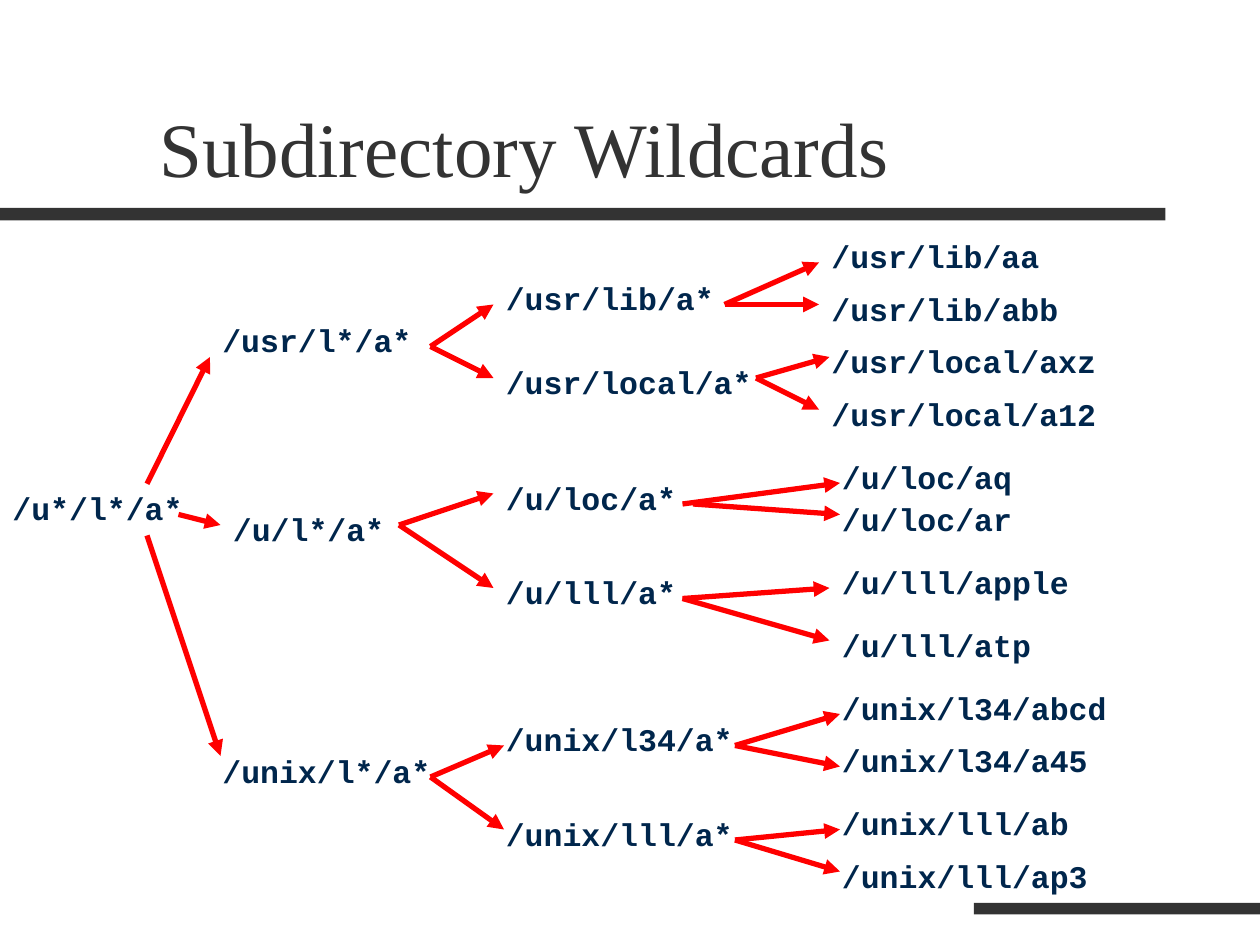
from dataclasses import dataclass

from lxml import etree
from pptx import Presentation
from pptx.dml.color import RGBColor
from pptx.enum.shapes import MSO_CONNECTOR, MSO_SHAPE
from pptx.enum.text import MSO_ANCHOR
from pptx.oxml.ns import qn
from pptx.util import Pt

STRAIGHT = MSO_CONNECTOR.STRAIGHT
RECTANGLE = MSO_SHAPE.RECTANGLE
TOP = MSO_ANCHOR.TOP
BOTTOM = MSO_ANCHOR.BOTTOM


@dataclass(frozen=True)
class Theme:
    bar: RGBColor = RGBColor(0x33, 0x33, 0x33)
    title: RGBColor = RGBColor(0x33, 0x33, 0x33)
    label: RGBColor = RGBColor(0x00, 0x26, 0x4C)
    arrow: RGBColor = RGBColor(0xFF, 0x00, 0x00)
    title_font: str = "Times New Roman"
    label_font: str = "Courier New"
    title_size: int = 44
    label_size: int = 18
    arrow_width: int = 3


THEME = Theme()
LABEL_HEIGHT = 28.8

BARS = [(0, 118.8, 666, 7.2), (556.5, 516, 163.5, 6.5)]

# left, top, width, wording
LABELS = [
    (0, 276, 156, "/u*/l*/a*"),
    (120, 180, 138, "/usr/l*/a*"),
    (126, 288, 126, "/u/l*/a*"),
    (120, 426, 156, "/unix/l*/a*"),
    (282, 156, 138, "/usr/lib/a*"),
    (282, 204, 174, "/usr/local/a*"),
    (282, 270, 126, "/u/loc/a*"),
    (282, 324, 126, "/u/lll/a*"),
    (282, 408, 144, "/unix/l34/a*"),
    (282, 462, 144, "/unix/lll/a*"),
    (468, 132, 138, "/usr/lib/aa"),
    (468, 162, 162, "/usr/lib/abb"),
    (468, 192, 174, "/usr/local/axz"),
    (468, 222, 174, "/usr/local/a12"),
    (474, 258, 174, "/u/loc/aq"),
    (474, 282, 174, "/u/loc/ar"),
    (474, 318, 156, "/u/lll/apple"),
    (474, 354, 126, "/u/lll/atp"),
    (474, 390, 180, "/unix/l34/abcd"),
    (474, 420, 156, "/unix/l34/a45"),
    (474, 456, 156, "/unix/lll/ab"),
    (474, 486, 156, "/unix/lll/ap3"),
]

FANS = [
    ((84, 276.5), [(120, 204)]),
    ((102, 294), [(126, 300)]),
    ((84, 306), [(126, 432)]),
    ((246, 198), [(282, 174), (282, 216)]),
    ((228, 300), [(282, 282), (282, 336)]),
    ((246, 444), [(288, 426), (288, 474)]),
    ((414, 174), [(468, 150), (468, 174)]),
    ((432, 216), [(474, 204), (468, 234)]),
    ((390, 288), [(480, 276)]),
    ((396, 288), [(480, 294)]),
    ((390, 342), [(474, 336), (474, 366)]),
    ((420, 426), [(480, 408), (480, 438)]),
    ((420, 480), [(480, 474), (480, 498)]),
]


def add_bar(page, left, top, width, height):
    bar = page.shapes.add_shape(RECTANGLE, Pt(left), Pt(top), Pt(width), Pt(height))
    bar.shadow.inherit = False
    bar.fill.solid()
    bar.fill.fore_color.rgb = THEME.bar
    bar.line.fill.background()


def add_text(page, left, top, width, height, wording, font, size, color,
             bold=False, anchor=TOP):
    box = page.shapes.add_textbox(Pt(left), Pt(top), Pt(width), Pt(height))
    frame = box.text_frame
    frame.word_wrap = True
    frame.vertical_anchor = anchor
    para = frame.paragraphs[0]
    para.text = wording
    para.font.name = font
    para.font.size = Pt(size)
    para.font.bold = bold
    para.font.color.rgb = color


def add_title(page, wording):
    add_text(page, 84, 24, 612, 90, wording, THEME.title_font,
             THEME.title_size, THEME.title, anchor=BOTTOM)


def add_label(page, left, top, width, wording):
    add_text(page, left, top, width, LABEL_HEIGHT, wording, THEME.label_font,
             THEME.label_size, THEME.label, bold=True)


def add_arrow(page, start, end):
    arrow = page.shapes.add_connector(STRAIGHT, *map(Pt, start + end))
    arrow.line.color.rgb = THEME.arrow
    arrow.line.width = Pt(THEME.arrow_width)
    etree.SubElement(arrow.line._get_or_add_ln(), qn("a:tailEnd"), type="triangle")
    etree.SubElement(arrow._element.spPr, qn("a:effectLst"))


def main():
    deck = Presentation()
    deck.slide_width, deck.slide_height = Pt(720), Pt(540)
    page = deck.slides.add_slide(deck.slide_layouts[6])
    for bar in BARS:
        add_bar(page, *bar)
    add_title(page, "Subdirectory Wildcards")
    for label in LABELS:
        add_label(page, *label)
    for start, ends in FANS:
        for end in ends:
            add_arrow(page, start, end)
    deck.save("out.pptx")


if __name__ == "__main__":
    main()
